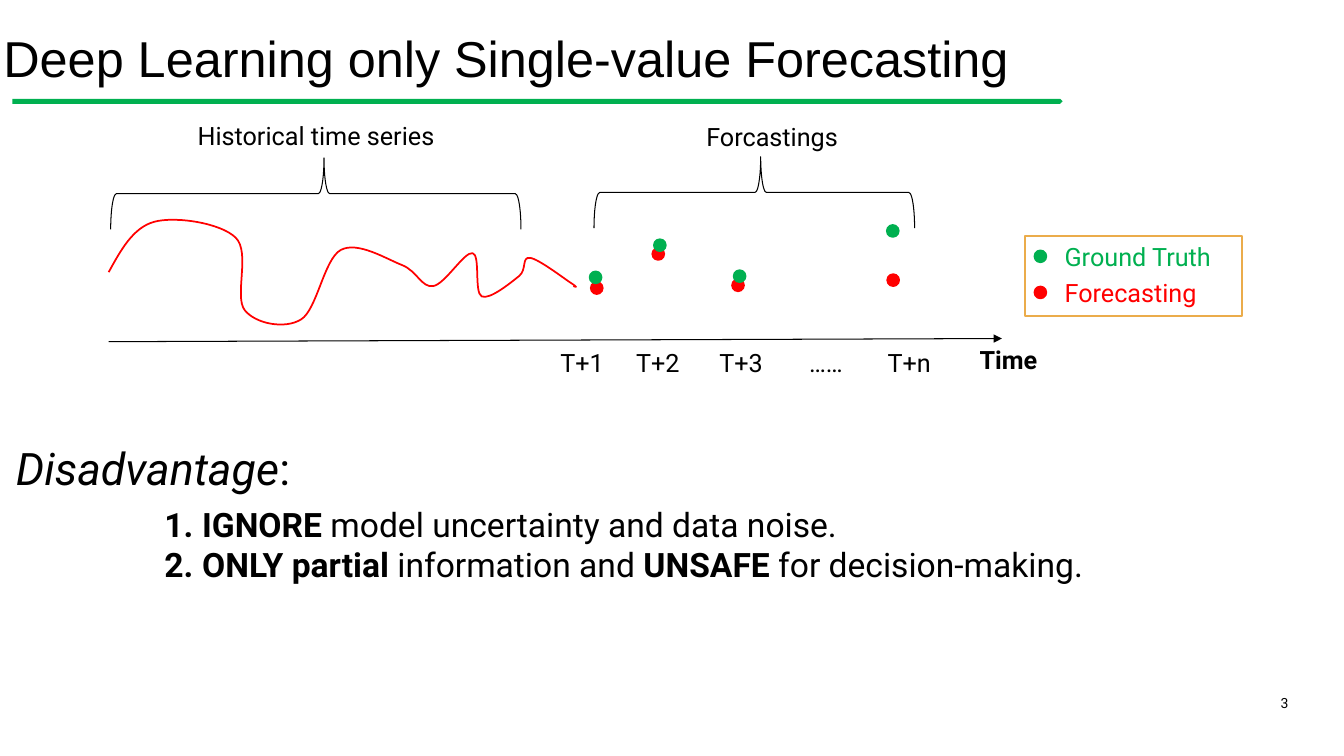
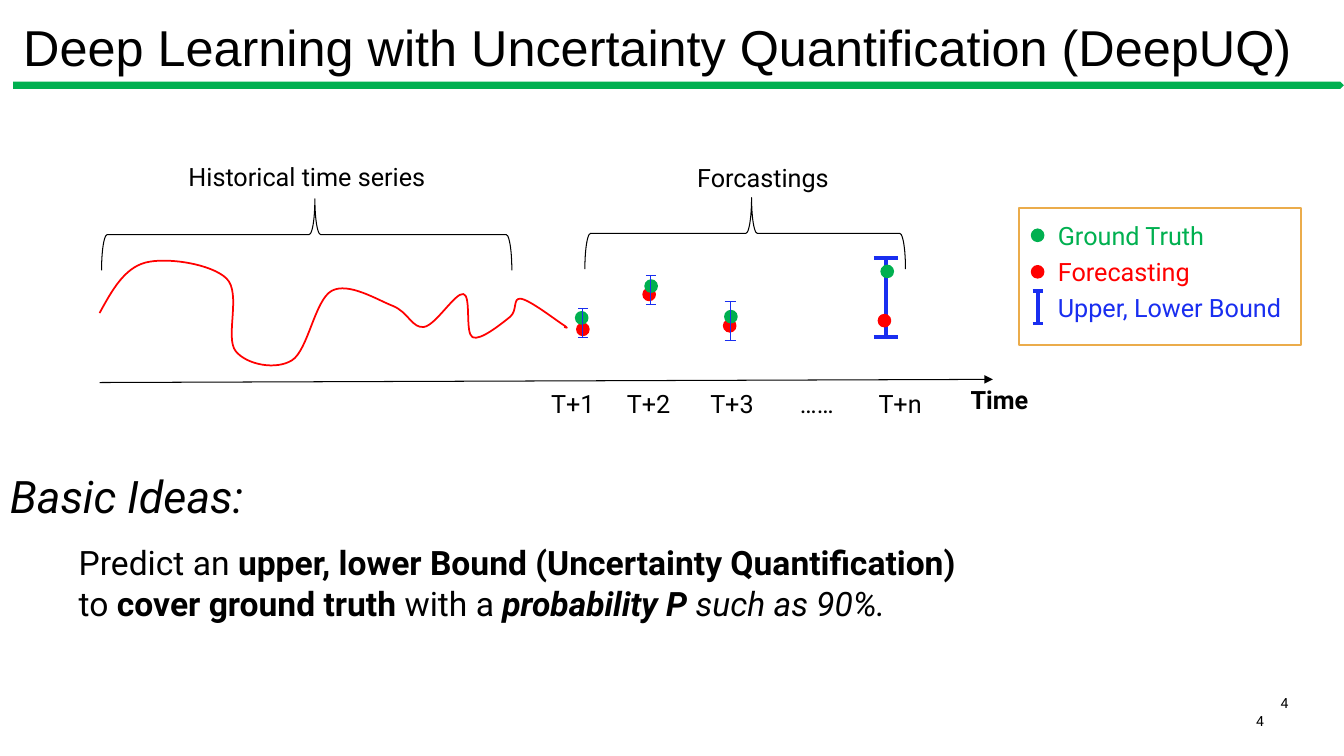
from dataclasses import dataclass

from lxml.etree import SubElement
from pptx import Presentation
from pptx.dml.color import RGBColor
from pptx.enum.shapes import MSO_CONNECTOR, MSO_SHAPE
from pptx.enum.text import MSO_ANCHOR, MSO_AUTO_SIZE, PP_ALIGN
from pptx.oxml.ns import qn
from pptx.util import Cm, Pt


@dataclass(frozen=True)
class Theme:
    black: str = "000000"
    truth: str = "00B050"
    forecast: str = "FF0000"
    bound: str = "192EF0"
    frame: str = "EBAC4B"
    title_font: str = "Arial"
    font: str = "Roboto"
    title_size: int = 36
    heading_size: int = 32
    body_size: int = 24
    label_size: int = 18
    number_size: int = 10
    thin: float = 0.75
    medium: float = 1.25
    thick: float = 2.75


THEME = Theme()
DOT_SIZE = 0.3
LABEL_HEIGHT = 1.02

# Points that the history curve runs through, in cm
HISTORY = [
    (2.74, 6.86), (3.89, 5.59), (5.94, 5.99), (6.17, 7.82), (7.59, 8.05),
    (8.59, 6.3), (10.13, 6.68), (10.92, 7.21), (11.91, 6.38), (12.14, 7.47),
    (13.08, 6.96), (13.36, 6.5), (14.4, 7.14), (14.45, 7.21),
]
STEP_LABELS = [("T+1", 13.87), ("T+2", 15.78), ("T+3", 17.88),
               ("……", 20.14), ("T+n", 22.12)]


# Text
def write(paragraph, text, *, size, color=THEME.black, font=THEME.font,
          bold=False, italic=False, align=PP_ALIGN.LEFT):
    paragraph.alignment = align
    run = paragraph.add_run()
    run.text = text
    run.font.name = font
    run.font.size = Pt(size)
    run.font.bold = bold
    run.font.italic = italic
    run.font.color.rgb = RGBColor.from_string(color)


def add_text(slide, text, left, top, width, height=LABEL_HEIGHT,
             anchor=MSO_ANCHOR.TOP, **text_format):
    box = slide.shapes.add_textbox(Cm(left), Cm(top), Cm(width), Cm(height))
    frame = box.text_frame
    frame.word_wrap = True
    frame.vertical_anchor = anchor
    write(frame.paragraphs[0], text, **text_format)
    return frame.paragraphs[0]


def add_label(slide, text, left, top, width, **text_format):
    add_text(slide, text, left, top, width, size=THEME.label_size, **text_format)


def add_slide_number(slide, number, left=31.2, top=17.2):
    add_text(slide, number, left, top, 1.52, anchor=MSO_ANCHOR.MIDDLE,
             size=THEME.number_size, align=PP_ALIGN.RIGHT)


def place(placeholder, left, top, width, height):
    placeholder.left, placeholder.top = Cm(left), Cm(top)
    placeholder.width, placeholder.height = Cm(width), Cm(height)
    frame = placeholder.text_frame
    frame.auto_size = MSO_AUTO_SIZE.NONE
    frame.vertical_anchor = MSO_ANCHOR.TOP
    return frame


def fill_body(slide, lines, left, top, width, numbered=False):
    """Each line is a list of (text, style), where style may hold b and i."""
    frame = place(slide.placeholders[1], left, top, width, 2.31)
    indent = Cm(0.95) if numbered else 0
    for index, line in enumerate(lines):
        paragraph = frame.add_paragraph() if index else frame.paragraphs[0]
        properties = paragraph._p.get_or_add_pPr()
        properties.set("marL", str(indent))
        properties.set("indent", str(-indent))
        if numbered:
            SubElement(properties, qn("a:buFont")).set("typeface", "+mj-lt")
            SubElement(properties, qn("a:buAutoNum")).set("type", "arabicPeriod")
        else:
            SubElement(properties, qn("a:buNone"))
        paragraph.space_before = Pt(0)
        for text, style in line:
            write(paragraph, text, size=THEME.body_size,
                  bold="b" in style, italic="i" in style)


# Shapes and lines
def add_shape(slide, kind, left, top, width, height,
              fill=None, line=None, weight=THEME.medium):
    shape = slide.shapes.add_shape(kind, Cm(left), Cm(top), Cm(width), Cm(height))
    style_shape(shape, fill, line, weight)
    return shape


def style_shape(shape, fill, line, weight):
    shape.shadow.inherit = False
    if fill:
        shape.fill.solid()
        shape.fill.fore_color.rgb = RGBColor.from_string(fill)
    else:
        shape.fill.background()
    if line:
        shape.line.color.rgb = RGBColor.from_string(line)
        shape.line.width = Pt(weight)
    else:
        shape.line.fill.background()


def add_line(slide, start, end, color, weight, arrow=False):
    connector = slide.shapes.add_connector(
        MSO_CONNECTOR.STRAIGHT, *(Cm(value) for value in (*start, *end)))
    connector.line.color.rgb = RGBColor.from_string(color)
    connector.line.width = Pt(weight)
    if arrow:
        SubElement(connector.line._get_or_add_ln(), qn("a:tailEnd")).set("type", "triangle")
    SubElement(connector._element.spPr, qn("a:effectLst"))


def add_dot(slide, x, y, color):
    add_shape(slide, MSO_SHAPE.OVAL, x - DOT_SIZE / 2, y - DOT_SIZE / 2,
              DOT_SIZE, DOT_SIZE, fill=color, line=color)


def add_bound(slide, x, top, bottom, cap, weight=THEME.thin):
    add_line(slide, (x, top), (x, bottom), THEME.bound, weight)
    for y in (top, bottom):
        add_line(slide, (x - cap / 2, y), (x + cap / 2, y), THEME.bound, weight)


def add_brace(slide, left, top, width, height=1.8):
    """A right brace turned to open downwards over the given area."""
    brace = add_shape(slide, MSO_SHAPE.RIGHT_BRACE,
                      left + (width - height) / 2, top + (height - width) / 2,
                      height, width, line=THEME.black, weight=THEME.thin)
    brace.rotation = 270
    brace.adjustments[0], brace.adjustments[1] = 0.08, 0.52


def curve_points(points):
    """Two control points and an end for each piece of a smooth curve."""
    def combine(*terms):
        return tuple(sum(weight * point[axis] for weight, point in terms)
                     for axis in (0, 1))

    inner = [combine((1 / 6, after), (-1 / 6, before))
             for before, after in zip(points, points[2:])]
    first = combine((0.5, points[1]), (-0.5, points[0]), (-0.5, inner[0]))
    last = combine((0.5, points[-1]), (-0.5, points[-2]), (-0.5, inner[-1]))
    tangents = [first, *inner, last]
    pieces = []
    for index, (start, end) in enumerate(zip(points, points[1:])):
        pieces += [combine((1, start), (1, tangents[index])),
                   combine((1, end), (-1, tangents[index + 1])), end]
    return pieces


def add_curve(slide, points, color):
    start, *rest = [(Cm(x), Cm(y)) for x, y in (points[0], *curve_points(points))]
    builder = slide.shapes.build_freeform(*start)
    builder.add_line_segments(rest, close=False)
    shape = builder.convert_to_shape()
    # Join every three straight segments into one cubic curve
    segments = list(shape._element.iter(qn("a:lnTo")))
    outline = segments[0].getparent()
    for index in range(0, len(segments), 3):
        cubic = SubElement(outline, qn("a:cubicBezTo"))
        for segment in segments[index:index + 3]:
            cubic.append(segment[0])
            outline.remove(segment)
    style_shape(shape, None, color, THEME.medium)


# Parts of the slides
def start_slide(presentation, title, title_left, title_top, title_width, bar):
    slide = presentation.slides.add_slide(presentation.slide_layouts[1])
    frame = place(slide.shapes.title, title_left, title_top, title_width, 1.57)
    write(frame.paragraphs[0], title, size=THEME.title_size, font=THEME.title_font)
    add_shape(slide, MSO_SHAPE.PENTAGON, *bar, fill=THEME.truth)
    return slide


def add_heading(slide, left, top, text, ending=""):
    paragraph = add_text(slide, text, left, top, 9, 1.63,
                         size=THEME.heading_size, italic=True)
    if ending:
        write(paragraph, ending, size=THEME.heading_size)


def add_timeline(slide, dx=0, dy=0):
    add_curve(slide, [(x + dx, y + dy) for x, y in HISTORY], THEME.forecast)
    add_line(slide, (2.74 + dx, 8.61 + dy), (25.25 + dx, 8.53 + dy),
             THEME.black, THEME.thin, arrow=True)
    add_label(slide, "Time", 24.44 + dx, 8.54 + dy, 2.54, bold=True)
    add_brace(slide, 2.79 + dx, 3.98 + dy, 10.34)
    add_label(slide, "Historical time series", 4.73 + dx, 2.91 + dy, 7.75)
    add_brace(slide, 14.97 + dx, 3.95 + dy, 8.08)
    add_label(slide, "Forcastings", 17.55 + dx, 2.93 + dy, 4.22)
    for text, left in STEP_LABELS:
        add_label(slide, text, left + dx, 8.64 + dy, 1.8)


def add_dots(slide, forecasts, truths):
    for color, centres in ((THEME.forecast, forecasts), (THEME.truth, truths)):
        for x, y in centres:
            add_dot(slide, x, y, color)


def add_legend(slide, frame, marker_x, text_left, truth_y, forecast_y, bound_y=None):
    add_shape(slide, MSO_SHAPE.RECTANGLE, *frame, line=THEME.frame)
    entries = [("Ground Truth", THEME.truth, truth_y),
               ("Forecasting", THEME.forecast, forecast_y)]
    for _, color, y in entries:
        add_dot(slide, marker_x, y, color)
    if bound_y:
        add_bound(slide, marker_x, bound_y - 0.41, bound_y + 0.41, 0.25, THEME.thick)
        entries.append(("Upper, Lower Bound", THEME.bound, bound_y))
    for text, color, y in entries:
        add_label(slide, text, text_left, y - LABEL_HEIGHT / 2, 6.35, color=color)


def build_single_value(presentation):
    slide = start_slide(presentation, "Deep Learning only Single-value Forecasting",
                        -0.17, 0.56, 31.65, bar=(0.31, 2.49, 26.47, 0.13))
    add_timeline(slide)
    add_dots(slide,
             forecasts=[(15.04, 7.26), (16.59, 6.4), (18.6, 7.19), (22.51, 7.06)],
             truths=[(15.01, 6.99), (16.63, 6.18), (18.64, 6.96), (22.5, 5.82)])
    add_legend(slide, (25.84, 5.94, 5.46, 2.03), 26.22, 26.58,
               truth_y=6.46, forecast_y=7.37)
    add_heading(slide, 0.15, 10.97, "Disadvantage", ending=":")
    fill_body(slide, [
        [("IGNORE ", "b"), ("model uncertainty and data noise.", "")],
        [("ONLY partial ", "b"), ("information and ", ""),
         ("UNSAFE ", "b"), ("for decision-making.", "")],
    ], 3.89, 12.57, 27.97, numbered=True)
    add_slide_number(slide, "3")


def build_uncertainty(presentation):
    slide = start_slide(presentation,
                        "Deep Learning with Uncertainty Quantification (DeepUQ)",
                        0.33, 0.28, 33.54, bar=(0.33, 2.06, 33.54, 0.18))
    add_bound(slide, 22.32, 6.5, 8.49, 0.6, THEME.thick)
    add_timeline(slide, dx=-0.23, dy=1.03)
    add_dots(slide,
             forecasts=[(14.69, 8.3), (16.36, 7.42), (18.39, 8.21), (22.29, 8.08)],
             truths=[(14.66, 8.01), (16.41, 7.21), (18.42, 7.98), (22.36, 6.84)])
    for x, top, bottom, cap in ((14.69, 7.77, 8.51, 0.24), (16.4, 6.93, 7.67, 0.24),
                                (18.4, 7.59, 8.57, 0.28)):
        add_bound(slide, x, top, bottom, cap)
    add_legend(slide, (25.69, 5.25, 7.09, 3.45), 26.15, 26.41,
               truth_y=5.93, forecast_y=6.85, bound_y=7.74)
    add_heading(slide, 0, 11.68, "Basic Ideas:")
    fill_body(slide, [
        [("Predict an ", ""), ("upper, lower Bound (Uncertainty Quantification)", "b")],
        [("to ", ""), ("cover ground truth ", "b"), ("with a ", ""),
         ("probability P ", "bi"), ("such as 90%.", "i")],
    ], 1.73, 13.54, 31.85)
    add_slide_number(slide, "4")
    add_slide_number(slide, "4", 30.58, 17.65)


def main():
    presentation = Presentation()
    presentation.slide_width, presentation.slide_height = Cm(33.87), Cm(19.05)
    build_single_value(presentation)
    build_uncertainty(presentation)
    presentation.save("out.pptx")


if __name__ == "__main__":
    main()
